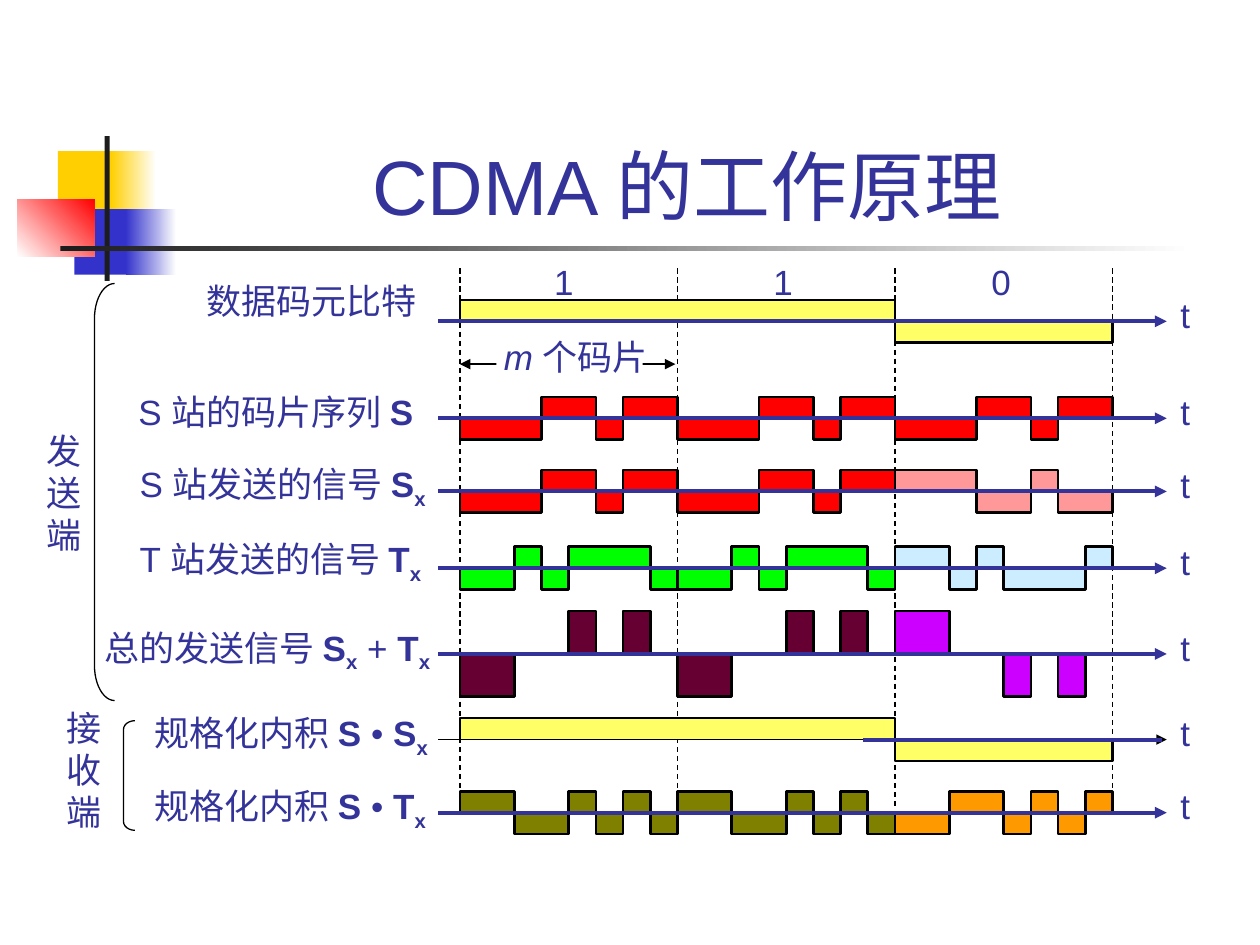
from itertools import groupby

from pptx import Presentation
from pptx.dml.color import RGBColor
from pptx.enum.dml import MSO_LINE
from pptx.enum.shapes import MSO_CONNECTOR, MSO_SHAPE
from pptx.enum.text import MSO_ANCHOR, MSO_AUTO_SIZE, PP_ALIGN
from pptx.oxml.ns import qn
from pptx.util import Inches, Pt
from lxml.etree import SubElement

BLACK, WHITE = RGBColor(0, 0, 0), RGBColor(255, 255, 255)
INDIGO = RGBColor(0x33, 0x33, 0x99)
GOLD = RGBColor(0xFF, 0xCF, 0x01)
BLUE = RGBColor(0x33, 0x33, 0xCC)
CHARCOAL = RGBColor(0x1C, 0x1C, 0x1C)
YELLOW = RGBColor(0xFF, 0xFF, 0x66)
RED, PINK = RGBColor(0xFF, 0, 0), RGBColor(0xFF, 0x99, 0x99)
GREEN, ICE = RGBColor(0, 0xFF, 0), RGBColor(0xCC, 0xEC, 0xFF)
MAROON, PURPLE = RGBColor(0x66, 0, 0x33), RGBColor(0xCC, 0, 0xFF)
OLIVE, ORANGE = RGBColor(0x80, 0x80, 0), RGBColor(0xFF, 0x99, 0)

# Time grid: three data bits of eight chips each
START, END = 3.65, 8.83
BIT = (END - START) / 3
CHIP = BIT / 8
UNIT = 0.17  # height of signal level 1
AXIS_START, AXIS_END = 3.48, 9.26

# Signals, one list of levels per data bit
BITS = [1, 1, -1]
S_CODE = [-1, -1, -1, 1, 1, -1, 1, 1]
T_CODE = [-1, -1, 1, -1, 1, 1, 1, -1]
S_CHIPS = [S_CODE] * 3
S_SENT = [[bit * chip for chip in S_CODE] for bit in BITS]
T_SENT = [[bit * chip for chip in T_CODE] for bit in BITS]
TOTAL = [[s + t for s, t in zip(*pair)] for pair in zip(S_SENT, T_SENT)]
S_DOT_T = [[s * t for s, t in zip(S_CODE, sent)] for sent in T_SENT]

# Styles: b bold, x bold subscript, i italic
# Rows: label runs, label left, top, width, axis y, chip signals, colours per bit
ROWS = [
    ([("数据码元比特", "")], 1.54, 2.17, 1.95, 2.55, None, None),
    ([("S 站的码片序列 ", ""), ("S", "b")],
     1.0, 3.1, 2.6, 3.32, S_CHIPS, [RED, RED, RED]),
    ([("S 站发送的信号 ", ""), ("S", "b"), ("x", "x")],
     1.01, 3.62, 2.7, 3.9, S_SENT, [RED, RED, PINK]),
    ([("T 站发送的信号 ", ""), ("T", "b"), ("x", "x")],
     1.01, 4.22, 2.65, 4.51, T_SENT, [GREEN, GREEN, ICE]),
    ([("总的发送信号 ", ""), ("S", "b"), ("x", "x"), (" + ", ""), ("T", "b"), ("x", "x")],
     0.73, 4.92, 2.95, 5.19, TOTAL, [MAROON, MAROON, PURPLE]),
    ([("规格化内积 ", ""), ("S ", "b"), ("• ", ""), ("S", "b"), ("x", "x")],
     1.13, 5.6, 2.55, 5.87, None, None),
    ([("规格化内积 ", ""), ("S ", "b"), ("• ", ""), ("T", "b"), ("x", "x")],
     1.13, 6.18, 2.55, 6.45, S_DOT_T, [OLIVE, OLIVE, ORANGE]),
]
INNER_PRODUCT_AXIS = 5.87


def add_text(slide, paragraphs, left, top, width, height, size=20, wrap=False,
             align=PP_ALIGN.LEFT, anchor=MSO_ANCHOR.TOP, spacing=None):
    box = slide.shapes.add_textbox(Inches(left), Inches(top), Inches(width), Inches(height))
    frame = box.text_frame
    frame.word_wrap = wrap
    frame.auto_size = MSO_AUTO_SIZE.NONE if wrap else MSO_AUTO_SIZE.SHAPE_TO_FIT_TEXT
    frame.vertical_anchor = anchor
    for index, runs in enumerate(paragraphs):
        paragraph = frame.add_paragraph() if index else frame.paragraphs[0]
        paragraph.alignment = align
        paragraph.line_spacing = spacing
        for words, style in runs:
            run = paragraph.add_run()
            run.text = words
            run.font.name, run.font.size = "Arial", Pt(size)
            run.font.color.rgb = INDIGO
            run.font.bold = style in ("b", "x")
            run.font.italic = style == "i"
            if style == "x":
                run.font._element.set("baseline", "-25000")


def add_block(slide, left, top, width, height, color, end_color=None, angle=0):
    block = slide.shapes.add_shape(MSO_SHAPE.RECTANGLE, Inches(left), Inches(top),
                                   Inches(width), Inches(height))
    block.shadow.inherit = False
    block.line.fill.background()
    if end_color is None:
        block.fill.solid()
        block.fill.fore_color.rgb = color
    else:
        block.fill.gradient()
        block.fill.gradient_angle = angle
        for stop, position, shade in zip(block.fill.gradient_stops, (0, 1), (color, end_color)):
            stop.position, stop.color.rgb = position, shade


def add_line(slide, x1, y1, x2, y2, color=BLACK, width=0.75, dashed=False, arrows=()):
    line = slide.shapes.add_connector(MSO_CONNECTOR.STRAIGHT, Inches(x1), Inches(y1),
                                      Inches(x2), Inches(y2))
    line.line.color.rgb, line.line.width = color, Pt(width)
    if dashed:
        line.line.dash_style = MSO_LINE.DASH
    for end in arrows:
        SubElement(line.line._get_or_add_ln(), qn(f"a:{end}")).set("type", "triangle")
    SubElement(line._element.spPr, qn("a:effectLst"))


def add_wave(slide, levels, left, step, axis, color):
    """Square wave that leaves the axis and comes back to it."""
    points, x = [], left
    for level, run in groupby(levels):
        end = x + step * len(list(run))
        y = axis - level * UNIT
        points += [(x, y), (end, y)]
        x = end
    points.append((x, axis))
    builder = slide.shapes.build_freeform(Inches(left), Inches(axis))
    builder.add_line_segments([(Inches(px), Inches(py)) for px, py in points], close=False)
    wave = builder.convert_to_shape()
    wave.shadow.inherit = False
    wave.fill.solid()
    wave.fill.fore_color.rgb = color
    wave.line.color.rgb, wave.line.width = BLACK, Pt(1.5)


def add_bracket(slide, left, top, width, height, radius):
    bracket = slide.shapes.add_shape(MSO_SHAPE.LEFT_BRACKET, Inches(left), Inches(top),
                                     Inches(width), Inches(height))
    bracket.adjustments[0] = radius / width
    bracket.shadow.inherit = False
    bracket.fill.background()
    bracket.line.color.rgb, bracket.line.width = BLACK, Pt(0.75)


def add_ornament(slide):
    add_block(slide, 0.46, 1.2, 0.48, 0.52, GOLD)
    add_block(slide, 0.88, 1.2, 0.36, 0.52, GOLD, WHITE)
    add_block(slide, 0.59, 1.66, 0.46, 0.52, BLUE)
    add_block(slide, 1.0, 1.66, 0.4, 0.52, BLUE, WHITE)
    add_block(slide, 0.14, 1.58, 0.61, 0.46, WHITE, RED, angle=45)
    add_block(slide, 0.83, 1.08, 0.04, 1.15, CHARCOAL)
    add_block(slide, 0.48, 1.95, 9, 0.04, CHARCOAL, WHITE)


def add_time_grid(slide):
    for index, bottom in enumerate((6.28, 6.26, 6.42, 6.27)):
        x = START + index * BIT
        add_line(slide, x, 2.13, x, bottom, dashed=True)
    for left, digit in zip((4.3, 6.04, 7.77), "110"):
        add_text(slide, [[(digit, "")]], left, 2.02, 0.35, 0.44)
    # Length of one bit in chips
    add_line(slide, START, 2.89, 5.36, 2.89, arrows=("headEnd", "tailEnd"))
    add_block(slide, 3.94, 2.72, 1.16, 0.3, WHITE)
    add_text(slide, [[("m ", "i"), ("个码片", "")]], 3.9, 2.61, 1.5, 0.44, wrap=True)


def add_signal_row(slide, label, left, top, width, axis, signals, colors):
    if signals is None:
        add_wave(slide, BITS, START, BIT, axis, YELLOW)
    else:
        for index, (levels, color) in enumerate(zip(signals, colors)):
            add_wave(slide, levels, START + index * BIT, CHIP, axis, color)
    if axis == INNER_PRODUCT_AXIS:
        add_line(slide, AXIS_START, axis, AXIS_END, axis, arrows=("tailEnd",))
        add_line(slide, 6.85, axis, 9.22, axis, INDIGO, 2.25)
    else:
        add_line(slide, AXIS_START, axis, AXIS_END, axis, INDIGO, 2.25, arrows=("tailEnd",))
    spacing = 0.85 if signals is S_CHIPS else None
    add_text(slide, [label], left, top, width, 0.44, wrap=True, spacing=spacing)
    add_text(slide, [[("t", "")]], 9.27, axis - 0.27, 0.27, 0.44)


def main():
    deck = Presentation()
    deck.slide_width, deck.slide_height = Inches(10), Inches(7.5)
    slide = deck.slides.add_slide(deck.slide_layouts[6])

    # Title
    add_ornament(slide)
    add_text(slide, [[("CDMA 的工作原理 ", "")]], 1.26, 0.28, 8.52, 1.6, size=44,
             wrap=True, align=PP_ALIGN.CENTER, anchor=MSO_ANCHOR.BOTTOM)

    # Signals over time
    add_time_grid(slide)
    for row in ROWS:
        add_signal_row(slide, *row)

    # Sending and receiving ends
    for words, left, top in (("发送端", 0.27, 3.36), ("接收端", 0.43, 5.56)):
        add_text(slide, [[(word, "")] for word in words], left, top, 0.48, 1.1)
    add_bracket(slide, 0.75, 2.25, 0.16, 3.31, radius=0.28)
    add_bracket(slide, 0.98, 5.72, 0.09, 0.87, radius=0.07)

    deck.save("out.pptx")


if __name__ == "__main__":
    main()
